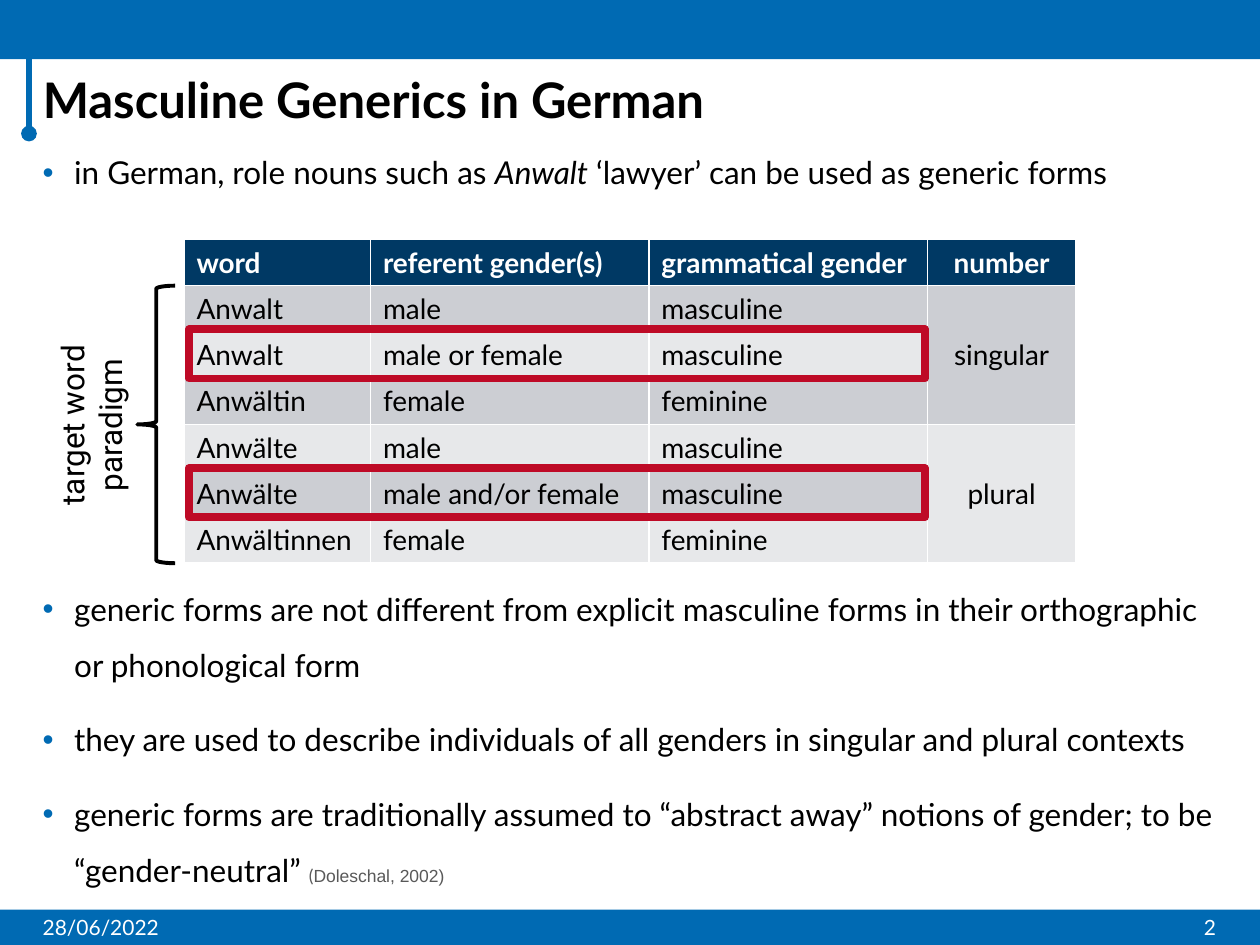
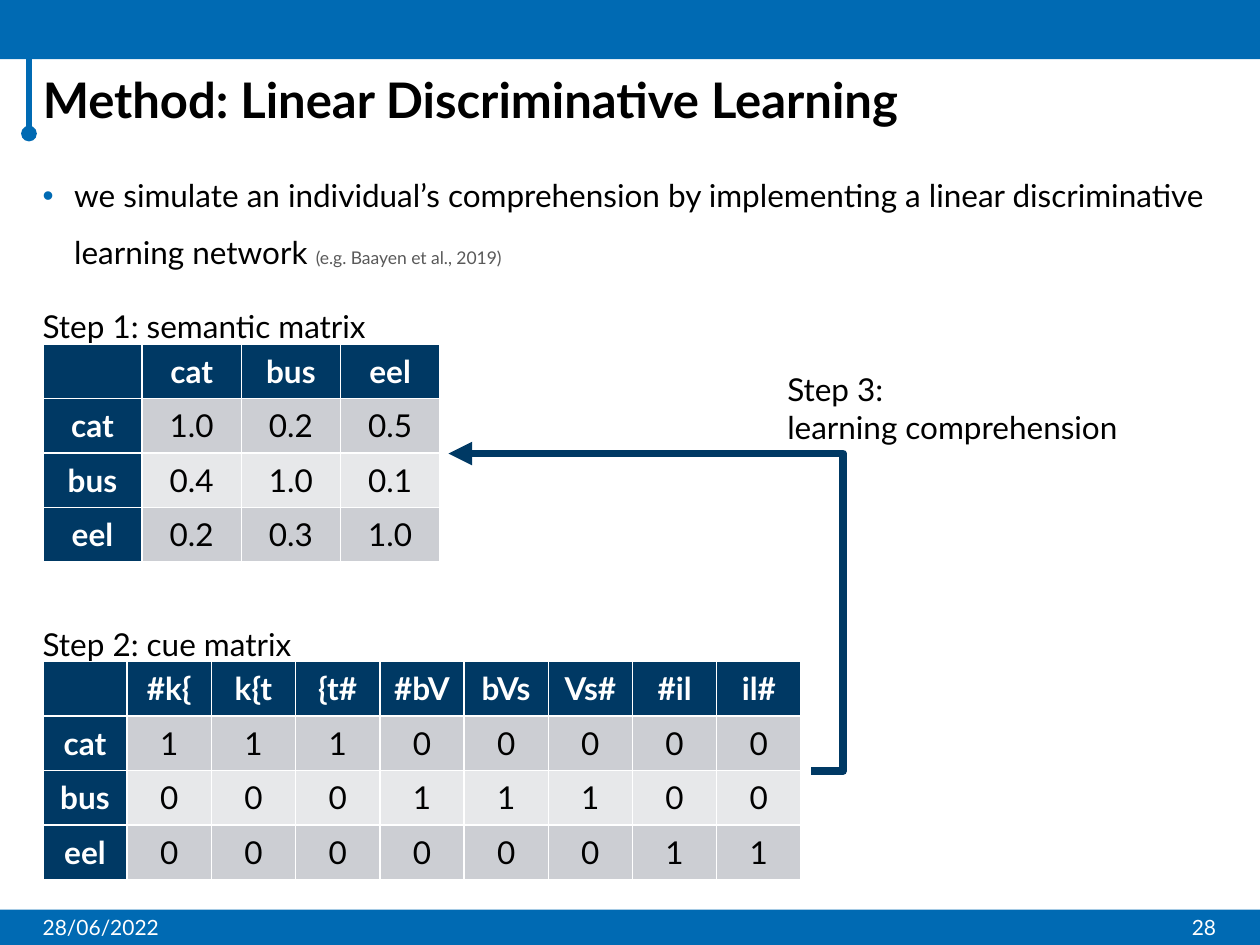
"""Build two lecture slides on masculine generics and discriminative learning."""
from dataclasses import dataclass

from lxml import etree
from pptx import Presentation
from pptx.dml.color import RGBColor
from pptx.enum.shapes import MSO_CONNECTOR, MSO_SHAPE
from pptx.enum.text import MSO_ANCHOR, MSO_AUTO_SIZE, PP_ALIGN
from pptx.oxml.ns import qn
from pptx.util import Inches, Pt

RECT, BRACE = MSO_SHAPE.RECTANGLE, MSO_SHAPE.LEFT_BRACE
STRAIGHT, ELBOW = MSO_CONNECTOR.STRAIGHT, MSO_CONNECTOR.ELBOW
TOP, MIDDLE = MSO_ANCHOR.TOP, MSO_ANCHOR.MIDDLE
LEFT, CENTER, RIGHT = PP_ALIGN.LEFT, PP_ALIGN.CENTER, PP_ALIGN.RIGHT
NO_FIT = MSO_AUTO_SIZE.NONE


@dataclass(frozen=True)
class Theme:
    """Colours, fonts and type sizes."""
    blue: str = "006AB3"
    navy: str = "003964"
    red: str = "BE0A26"
    black: str = "000000"
    white: str = "FFFFFF"
    cite: str = "595959"
    bands: tuple = ("CCCED3", "E7E8EA")
    font: str = "Lato"
    brace_font: str = "Roboto"
    cite_font: str = "Arial"
    title: int = 28
    body: int = 18
    word: int = 16
    small: int = 12
    tiny: int = 10


T = Theme()
CITE = {"size": T.tiny, "color": T.cite}
DATE = "28/06/2022"
MARGIN, BODY_W = 0.24, 9.51

GENERICS_TITLE = "Masculine Generics in German"
GENERICS_INTRO = [
    [("in German, role nouns such as ", {}), ("Anwalt", {"italic": True}),
     (" ‘lawyer’ can be used as generic forms", {})],
]
GENERICS_POINTS = [
    [("generic forms are not different from explicit masculine forms in their "
      "orthographic or phonological form", {})],
    [("they are used to describe individuals of all genders in singular and plural contexts", {})],
    [("generic forms are traditionally assumed to “abstract away” notions of gender; "
      "to be “gender-neutral” ", {}),
     ("(", CITE), ("Doleschal, 2002)", {**CITE, "name": T.cite_font})],
]
PARADIGM = [
    ["word", "referent gender(s)", "grammatical gender", "number"],
    ["Anwalt", "male", "masculine", "singular"],
    ["Anwalt", "male or female", "masculine", ""],
    ["Anwältin", "female", "feminine", ""],
    ["Anwälte", "male", "masculine", "plural"],
    ["Anwälte", "male and/or female", "masculine", ""],
    ["Anwältinnen", "female", "feminine", ""],
]
PARADIGM_AT = (1.46, 1.9, 7.08, 2.57)
PARADIGM_COLS = [1.48, 2.21, 2.21, 1.18]
GENERIC_ROWS = [2, 5]
NUMBER_SPANS = [(1, 3), (4, 6)]
BRACE_LABEL = ["target word", "paradigm"]

METHOD_TITLE = "Method: Linear Discriminative Learning"
METHOD_INTRO = [
    [("we simulate an individual’s comprehension by implementing a linear "
      "discriminative learning network ", {}),
     ("(e.g. Baayen et al., 2019)", CITE)],
]
MATRICES = [
    ("Step 1: semantic matrix", (0.34, 2.73, 3.15, 1.73), [
        ["", "cat", "bus", "eel"],
        ["cat", "1.0", "0.2", "0.5"],
        ["bus", "0.4", "1.0", "0.1"],
        ["eel", "0.2", "0.3", "1.0"],
    ]),
    ("Step 2: cue matrix", (0.34, 5.25, 6.02, 1.73), [
        ["", "#k{", "k{t", "{t#", "#bV", "bVs", "Vs#", "#il", "il#"],
        ["cat", "1", "1", "1", "0", "0", "0", "0", "0"],
        ["bus", "0", "0", "0", "1", "1", "1", "0", "0"],
        ["eel", "0", "0", "0", "0", "0", "0", "1", "1"],
    ]),
]
LEARNING = ["Step 3:", "learning comprehension"]


def rgb(color):
    return RGBColor.from_string(color)


def inches(at):
    return [Inches(v) for v in at]


def add_run(p, text, **fmt):
    r = p.add_run()
    r.text = text
    fmt = {"name": T.font, "size": T.body, "color": T.black, **fmt}
    r.font.color.rgb = rgb(fmt.pop("color"))
    fmt["size"] = Pt(fmt["size"])
    for key, value in fmt.items():
        setattr(r.font, key, value)


def add_bullet(p):
    pPr = p._p.get_or_add_pPr()
    pPr.set("marL", str(Inches(0.25)))
    pPr.set("indent", str(Inches(-0.25)))
    color = etree.SubElement(pPr, qn("a:buClr"))
    etree.SubElement(color, qn("a:srgbClr"), val=T.blue)
    etree.SubElement(pPr, qn("a:buFont"), typeface="Arial")
    etree.SubElement(pPr, qn("a:buChar"), char="•")


def add_text(s, at, lines, align=LEFT, anchor=TOP, wrap=True, **fmt):
    box = s.shapes.add_textbox(*inches(at))
    tf = box.text_frame
    tf.word_wrap, tf.vertical_anchor = wrap, anchor
    for i, line in enumerate(lines):
        p = tf.add_paragraph() if i else tf.paragraphs[0]
        p.alignment = align
        add_run(p, line, **fmt)
    return box


def add_bullets(s, top, height, points, spacing):
    tf = s.shapes.add_textbox(*inches((MARGIN, top, BODY_W, height))).text_frame
    tf.word_wrap = True
    for i, runs in enumerate(points):
        p = tf.add_paragraph() if i else tf.paragraphs[0]
        p.line_spacing, p.space_before = spacing, Pt(10)
        add_bullet(p)
        for text, fmt in runs:
            add_run(p, text, **fmt)


def add_shape(s, kind, at, fill=None, line=None, width=1):
    sp = s.shapes.add_shape(kind, *inches(at))
    sp.shadow.inherit = False
    if fill:
        sp.fill.solid()
        sp.fill.fore_color.rgb = rgb(fill)
    else:
        sp.fill.background()
    if line:
        sp.line.color.rgb, sp.line.width = rgb(line), Pt(width)
    else:
        sp.line.fill.background()


def add_line(s, kind, points, color, width, **ends):
    cx = s.shapes.add_connector(kind, *inches(points))
    cx.line.color.rgb, cx.line.width = rgb(color), Pt(width)
    ln = cx.line._get_or_add_ln()
    for end, shape in ends.items():
        etree.SubElement(ln, qn(f"a:{end}"), type=shape)
    etree.SubElement(cx._element.spPr, qn("a:effectLst"))
    return cx


def add_table(s, at, rows, size, row_heads=False, centered=()):
    """Fill a table with a navy header and alternating bands."""
    table = s.shapes.add_table(len(rows), len(rows[0]), *inches(at)).table
    table.first_col = row_heads
    for i, row in enumerate(rows):
        for j, text in enumerate(row):
            head = i == 0 or (row_heads and j == 0)
            cell = table.cell(i, j)
            cell.fill.solid()
            cell.fill.fore_color.rgb = rgb(T.navy if head else T.bands[(i - 1) % 2])
            p = cell.text_frame.paragraphs[0]
            if j in centered:
                cell.vertical_anchor, p.alignment = MIDDLE, CENTER
            if text:
                add_run(p, text, size=size, bold=head, color=T.white if head else T.black)
    return table


def add_slide(prs, title, number):
    """Add a slide with its title, bands, marker line and footer."""
    s = prs.slides.add_slide(prs.slide_layouts[5])
    for top, height in ((7.22, 0.28), (0, 0.47)):
        add_shape(s, RECT, (0, top, 10, height), fill=T.blue)
    add_line(s, STRAIGHT, (0.23, 0.35, 0.23, 1.06), T.blue, 3, headEnd="oval", tailEnd="oval")
    sp = s.shapes.title
    sp.left, sp.top, sp.width, sp.height = inches((MARGIN, 0.58, BODY_W, 0.47))
    tf = sp.text_frame
    tf.auto_size, tf.vertical_anchor, tf.word_wrap = NO_FIT, MIDDLE, True
    p = tf.paragraphs[0]
    p.alignment, p.line_spacing = LEFT, 0.9
    add_run(p, title, size=T.title, bold=True)
    for left, text, align in ((MARGIN, DATE, LEFT), (7.5, str(number), RIGHT)):
        add_text(s, (left, 7.16, 2.25, 0.4), [text], align, MIDDLE, size=T.small, color=T.white)
    return s


def build_generics(prs):
    s = add_slide(prs, GENERICS_TITLE, 2)
    add_bullets(s, 1.2, 0.4, GENERICS_INTRO, 0.9)
    add_bullets(s, 4.48, 2.6, GENERICS_POINTS, 1.5)
    table = add_table(s, PARADIGM_AT, PARADIGM, T.word, centered=(3,))
    for column, width in zip(table.columns, PARADIGM_COLS):
        column.width = Inches(width)
    for first, last in NUMBER_SPANS:
        table.cell(first, 3).merge(table.cell(last, 3))
    left, top, _, height = PARADIGM_AT
    row_h = height / len(PARADIGM)
    for row in GENERIC_ROWS:
        at = (left + 0.04, top + row * row_h - 0.02, 5.84, 0.39)
        add_shape(s, RECT, at, line=T.red, width=4.5)
    add_shape(s, BRACE, (1.09, top + row_h, 0.3, height - row_h), line=T.black, width=2.25)
    label = add_text(s, (-0.02, 3.02, 1.49, 0.71), BRACE_LABEL, CENTER, wrap=False,
                     name=T.brace_font)
    label.rotation = 270


def build_method(prs):
    s = add_slide(prs, METHOD_TITLE, 28)
    add_bullets(s, 1.2, 1.1, METHOD_INTRO, 1.5)
    for caption, at, rows in MATRICES:
        add_text(s, (MARGIN, at[1] - 0.34, 4, 0.4), [caption])
        add_table(s, at, rows, T.body, row_heads=True, centered=range(len(rows[0])))
    add_text(s, (6.15, 2.89, 3.73, 0.71), LEARNING)
    arrow = add_line(s, ELBOW, (6.44, 6.12, 3.56, 3.6), T.navy, 4.5, tailEnd="triangle")
    guides = arrow._element.spPr.find(qn("a:prstGeom")).get_or_add_avLst()
    etree.SubElement(guides, qn("a:gd"), name="adj1", fmla="val -8700")


def main():
    prs = Presentation()
    prs.slide_width, prs.slide_height = Inches(10), Inches(7.5)
    build_generics(prs)
    build_method(prs)
    prs.save("out.pptx")


if __name__ == "__main__":
    main()
